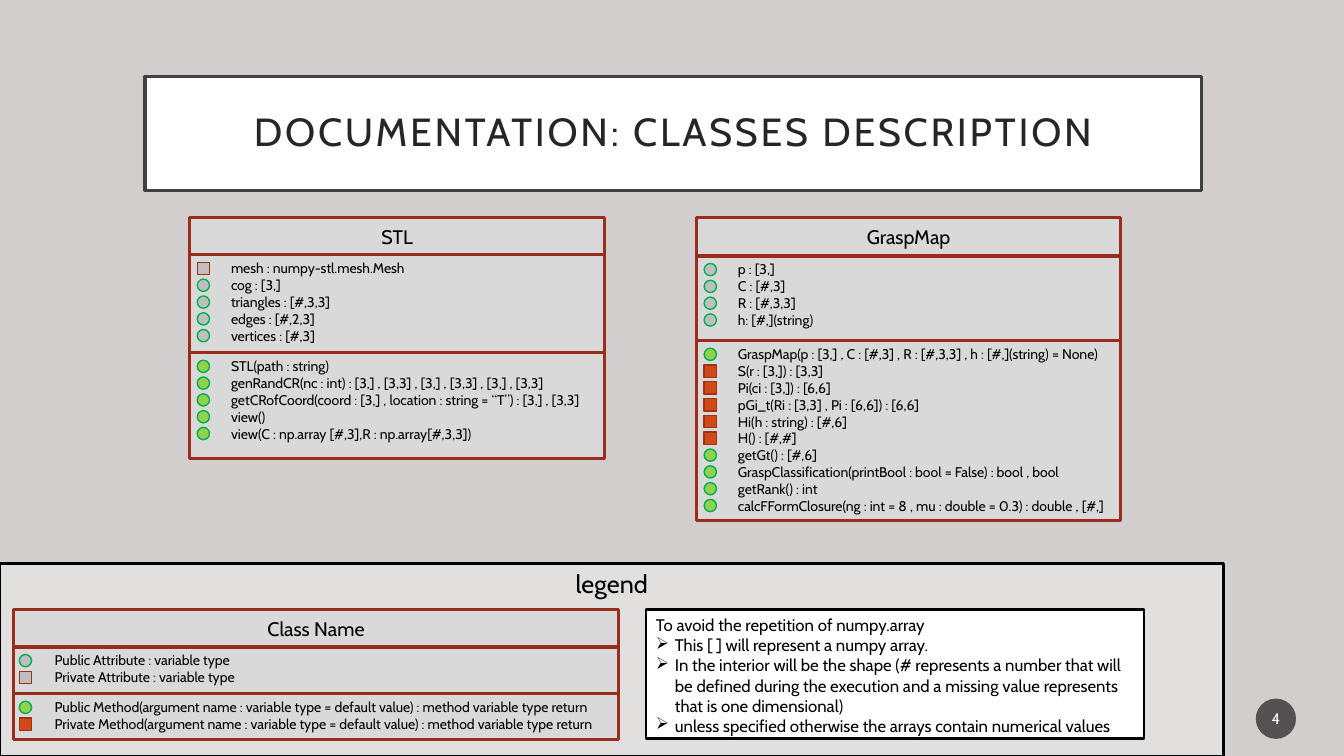
from lxml import etree
from pptx import Presentation, util as u
from pptx.dml.color import RGBColor
from pptx.enum import shapes, text
from pptx.oxml.ns import qn

Pt = u.Pt
HUE = {
    "back": "D3CECE", "white": "FFFFFF", "black": "000000",
    "frame": "404040", "title": "262626", "badge": "1D1D1D",
    "card": "D9D9D9", "edge": "9B2D1F", "green": "00B050",
    "lime": "92D050", "gray": "BFBFBF", "rust": "D34817", "brown": "9C3511",
}
RECT, OVAL = shapes.MSO_SHAPE.RECTANGLE, shapes.MSO_SHAPE.OVAL
TOP, MID = text.MSO_ANCHOR.TOP, text.MSO_ANCHOR.MIDDLE
LEFT, MEAN = text.PP_ALIGN.LEFT, text.PP_ALIGN.CENTER

# Member kinds: shape, fill, line
KIND = {
    "+a": (OVAL, "gray", "green"), "-a": (RECT, "gray", "brown"),
    "+m": (OVAL, "lime", "green"), "-m": (RECT, "rust", "brown"),
}


def tint(hue):
    return RGBColor.from_string(HUE[hue])


class Deck:
    font = "Cabin"
    pitch, dot = 12, 8.8

    def __init__(self, wide, high):
        self.prs = Presentation()
        self.prs.slide_width, self.prs.slide_height = Pt(wide), Pt(high)
        self.slide = self.prs.slides.add_slide(self.prs.slide_layouts[6])
        fill = self.slide.background.fill
        fill.solid()
        fill.fore_color.rgb = tint("back")
        self.home = self.slide.shapes

    def shape(self, form, area, fill, line=None, width=1, alpha=None):
        item = self.home.add_shape(form, *map(Pt, area))
        item.shadow.inherit = False
        item.fill.solid()
        item.fill.fore_color.rgb = tint(fill)
        if alpha:
            color = item._element.spPr.find(".//" + qn("a:srgbClr"))
            etree.SubElement(color, qn("a:alpha"), val=str(alpha * 1000))
        if line:
            item.line.color.rgb = tint(line)
            item.line.width = Pt(width)
        else:
            item.line.fill.background()
        return item

    def words(self, item, lines, size, hue="black", align=LEFT, anchor=TOP,
              inset=(7.2, 3.6), indent=0):
        frame = item.text_frame
        side, rim = map(Pt, inset)
        form = {"word_wrap": True, "vertical_anchor": anchor,
                "margin_left": side, "margin_right": side,
                "margin_top": rim, "margin_bottom": rim}
        for name, value in form.items():
            setattr(frame, name, value)
        for i, line in enumerate(lines):
            para = frame.add_paragraph() if i else frame.paragraphs[0]
            para.alignment = align
            if indent:
                para._p.get_or_add_pPr().set("marL", str(Pt(indent)))
            run = para.add_run()
            run.text = line
            for name, value in {"name": self.font, "size": Pt(size)}.items():
                setattr(run.font, name, value)
            run.font.color.rgb = tint(hue)
        return frame.paragraphs

    def bullet(self, para, mark, indent):
        props = para._p.get_or_add_pPr()
        props.set("marL", str(Pt(indent)))
        props.set("indent", str(-Pt(indent)))
        etree.SubElement(props, qn("a:buChar"), char=mark)

    def card(self, left, top, wide, head, name, parts, gap=5.5):
        """Class box: a name bar, then parts of (height, members)."""
        self.home = self.slide.shapes.add_group_shape().shapes
        bar = self.shape(RECT, (left, top, wide, head), "card", "edge", 2.25)
        self.words(bar, [name], 14, align=MEAN, anchor=MID)
        top += head
        for high, rows in parts:
            box = self.shape(RECT, (left, top, wide, high), "card", "edge", 2.25)
            self.words(box, [label for kind, label in rows], 10, indent=22.5)
            for i, (kind, label) in enumerate(rows):
                form, fill, line = KIND[kind]
                spot = (left + gap, top + 5.3 + i * self.pitch, self.dot, self.dot)
                self.shape(form, spot, fill, line)
            top += high
        self.home = self.slide.shapes


deck = Deck(960, 540)

# Legend panel
panel = deck.shape(RECT, (0, 402.5, 874, 137.5), "white", "black", 2, alpha=35)
deck.words(panel, ["legend"], 18, align=MEAN)

# Page number
badge = deck.shape(OVAL, (897, 499, 28.8, 28.8), "badge", alpha=70)
deck.words(badge, ["4"], 11, "white", MEAN, MID, (1.4, 3.6))

# Title
title = deck.shape(RECT, (103.7, 54.7, 754.6, 81.4), "white", "frame", 2.5)
head, = deck.words(title, ["DOCUMENTATION: CLASSES DESCRIPTION"], 28, "title",
                   MEAN, MID, (14.4, 14.4))
head.line_spacing = 0.9
head.runs[0].font._element.set("spc", "200")

# Legend: class layout
deck.card(9.4, 435.6, 432.7, 26.6, "Class Name", [
    (33.4, [("+a", "Public Attribute : variable type"),
            ("-a", "Private Attribute : variable type")]),
    (32.4, [("+m", "Public Method(argument name : variable type = default value)"
                   " : method variable type return"),
            ("-m", "Private Method(argument name : variable type = default value)"
                   " : method variable type return")]),
], gap=4.4)

# Legend: array notation
note = deck.shape(RECT, (461.5, 435.6, 355.7, 92.2), "white", "black", 2)
lines = deck.words(note, [
    "To avoid the repetition of numpy.array",
    "This [ ] will represent a numpy array.",
    "In the interior will be the shape (# represents a number that will be "
    "defined during the execution and a missing value represents that is "
    "one dimensional)",
    "unless specified otherwise the arrays contain numerical values",
], 12)
for para in lines[1:]:
    deck.bullet(para, "\u27a2", 13.5)

# Class STL
deck.card(135.4, 155.5, 296.6, 26.6, "STL", [
    (69.9, [("-a", "mesh : numpy-stl.mesh.Mesh"),
            ("+a", "cog : [3,]"),
            ("+a", "triangles : [#,3,3]"),
            ("+a", "edges : [#,2,3]"),
            ("+a", "vertices : [#,3]")]),
    (75.6, [("+m", "STL(path : string)"),
            ("+m", "genRandCR(nc : int) : [3,] , [3,3] , [3,] , [3,3] , [3,] , [3,3]"),
            ("+m", "getCRofCoord(coord : [3,] , location : string = “T”) : [3,] , [3,3]"),
            ("+m", "view()"),
            ("+m", "view(C : np.array [#,3],R : np.array[#,3,3])")]),
])

# Class GraspMap
deck.card(497.5, 155.5, 303, 27.4, "GraspMap", [
    (60.5, [("+a", "p : [3,]"),
            ("+a", "C : [#,3]"),
            ("+a", "R : [#,3,3]"),
            ("+a", "h: [#,](string)")]),
    (128.2, [("+m", "GraspMap(p : [3,] , C : [#,3] , R : [#,3,3] , h : [#,](string) = None)"),
             ("-m", "S(r : [3,]) : [3,3]"),
             ("-m", "Pi(ci : [3,]) : [6,6]"),
             ("-m", "pGi_t(Ri : [3,3] , Pi : [6,6]) : [6,6]"),
             ("-m", "Hi(h : string) : [#,6]"),
             ("-m", "H() : [#,#]"),
             ("+m", "getGt() : [#,6]"),
             ("+m", "GraspClassification(printBool : bool = False) : bool , bool"),
             ("+m", "getRank() : int"),
             ("+m", "calcFFormClosure(ng : int = 8 , mu : double = 0.3) : double , [#,]")]),
])

deck.prs.save("out.pptx")
